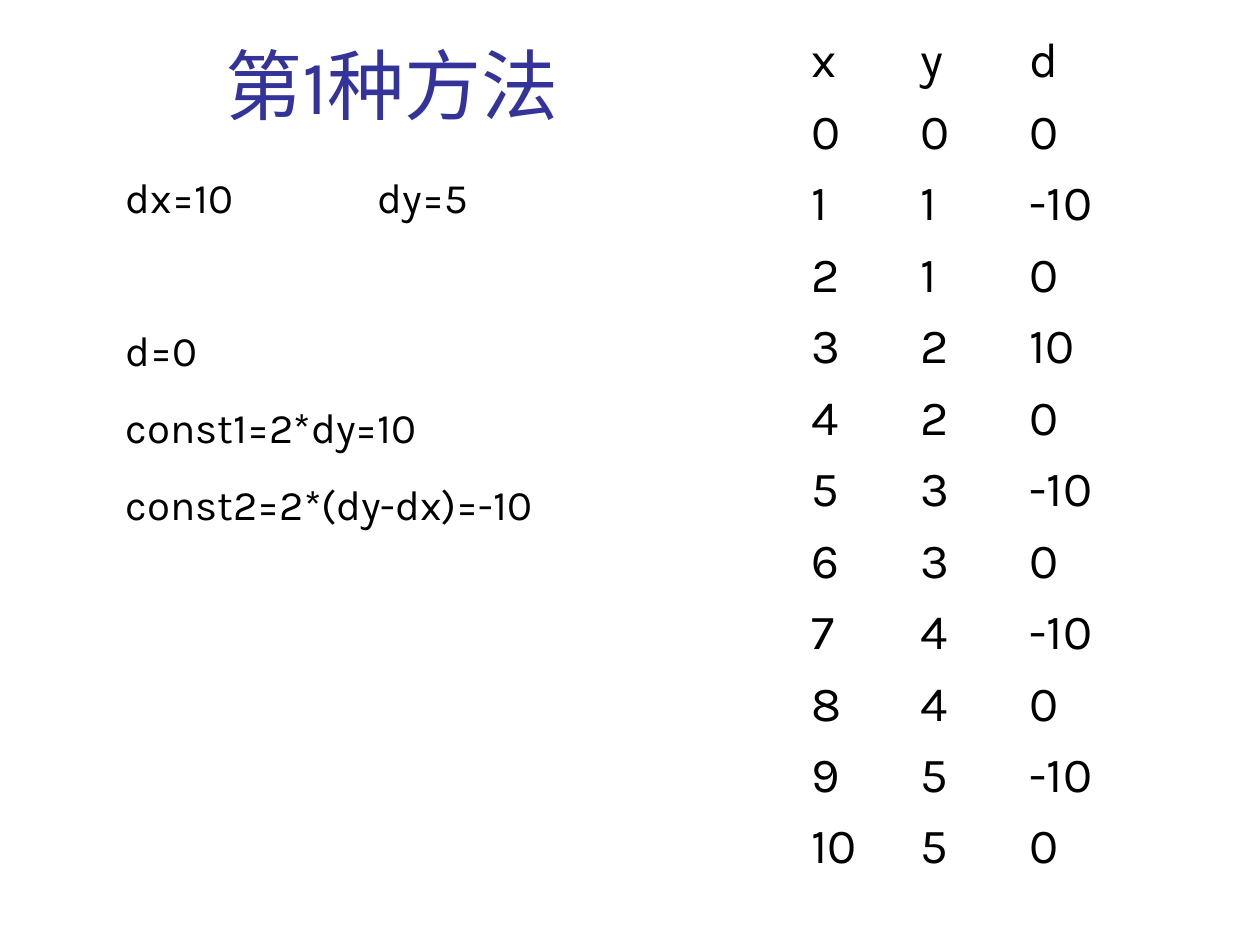
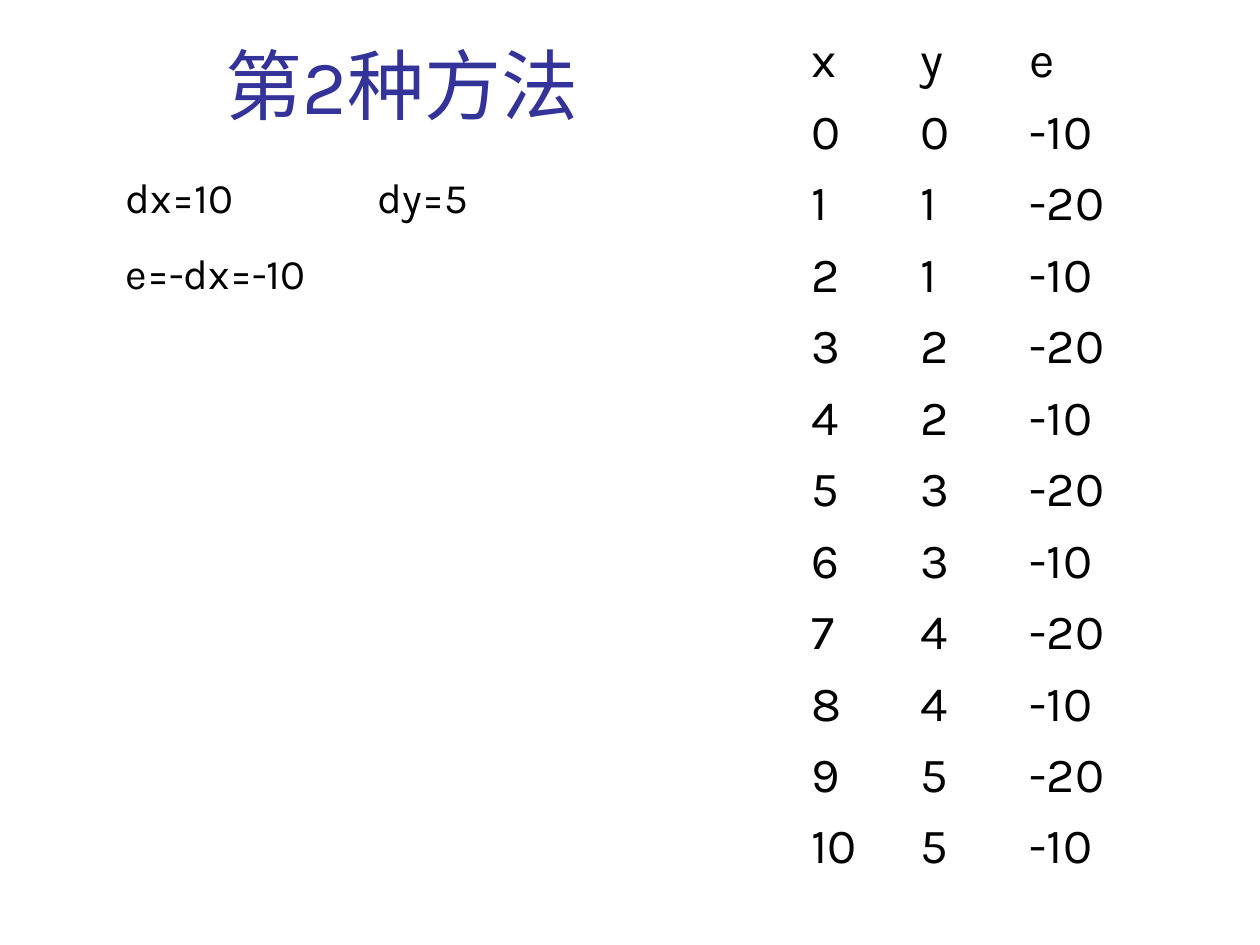
"""Build two slides that trace two line-drawing methods step by step."""
from lxml.etree import SubElement
from pptx import Presentation
from pptx.dml.color import RGBColor
from pptx.enum.text import MSO_ANCHOR as Anchor, MSO_AUTO_SIZE as AutoSize
from pptx.oxml.ns import qn
from pptx.util import Inches, Pt

COLORS = {"title": "333399", "text": "000000"}
FONT = "Karla"
GRID = Inches(0.1)
LINE_GAP = 15
SKIPPED_LINE = 44
STEPS = range(11)


def grid(*cells):
    """Turn grid columns and rows into lengths."""
    return [round(cell * GRID) for cell in cells]


def add_run(paragraph, text, size, color):
    """Add one styled run to a paragraph."""
    run = paragraph.add_run()
    run.text = text
    run.font.name = FONT
    run.font.size = Pt(size)
    run.font.color.rgb = RGBColor.from_string(COLORS[color])


def add_tab_stops(paragraph, inches):
    """Give a paragraph left-aligned tab stops."""
    tab_list = SubElement(paragraph._p.get_or_add_pPr(), qn("a:tabLst"))
    for position in inches:
        SubElement(tab_list, qn("a:tab"), pos=str(Inches(position)), algn="l")


def add_text_frame(slide, area):
    """Add a wrapping text box and return its frame."""
    frame = slide.shapes.add_textbox(*grid(*area)).text_frame
    frame.word_wrap = True
    return frame


def add_title(slide, text):
    """Add the title above the setup lines."""
    frame = add_text_frame(slide, (16.9, 2.1, 34.3, 8.7))
    frame.vertical_anchor = Anchor.BOTTOM
    add_run(frame.paragraphs[0], text, 44, "title")


def add_setup(slide, rows, lines):
    """Add the starting values as (text, space before) lines."""
    frame = add_text_frame(slide, (9, 13.1, 46.5, rows))
    frame.auto_size = AutoSize.SHAPE_TO_FIT_TEXT
    for index, (text, gap) in enumerate(lines):
        paragraph = frame.add_paragraph() if index else frame.paragraphs[0]
        add_tab_stops(paragraph, (1, 2))
        paragraph.space_before = Pt(gap)
        add_run(paragraph, text, 24, "text")


def add_trace(slide, error_name, errors):
    """Add the table of x, y and the error term at each step."""
    records = [("x", "y", error_name)]
    records += [(x, (x + 1) // 2, error) for x, error in zip(STEPS, errors)]
    area = grid(63.4, 2.1, 26, 67.9)
    table = slide.shapes.add_table(len(records), 3, *area).table
    table.first_row = table.horz_banding = False
    for row, record in enumerate(records):
        for column, value in enumerate(record):
            cell = table.cell(row, column)
            cell.fill.background()
            add_run(cell.text_frame.paragraphs[0], str(value), 28, "text")


def add_method(presentation, number, rows, lines, error_name, errors):
    """Add the slide of one method."""
    slide = presentation.slides.add_slide(presentation.slide_layouts[6])
    add_setup(slide, rows, [("dx=10\t\tdy=5", 0), *lines])
    add_trace(slide, error_name, errors)
    add_title(slide, f"第{number}种方法")


def main():
    """Build and save the presentation."""
    presentation = Presentation()
    presentation.slide_width, presentation.slide_height = grid(100, 75)
    add_method(
        presentation, 1, 29.4,
        [("d=0", LINE_GAP + SKIPPED_LINE),
         ("const1=2*dy=10", LINE_GAP),
         ("const2=2*(dy-dx)=-10", LINE_GAP)],
        "d", [0, -10, 0, 10, 0, -10, 0, -10, 0, -10, 0],
    )
    add_method(
        presentation, 2, 11.1, [("e=-dx=-10", LINE_GAP)],
        "e", [-20 if x % 2 else -10 for x in STEPS],
    )
    presentation.save("out.pptx")


if __name__ == "__main__":
    main()
